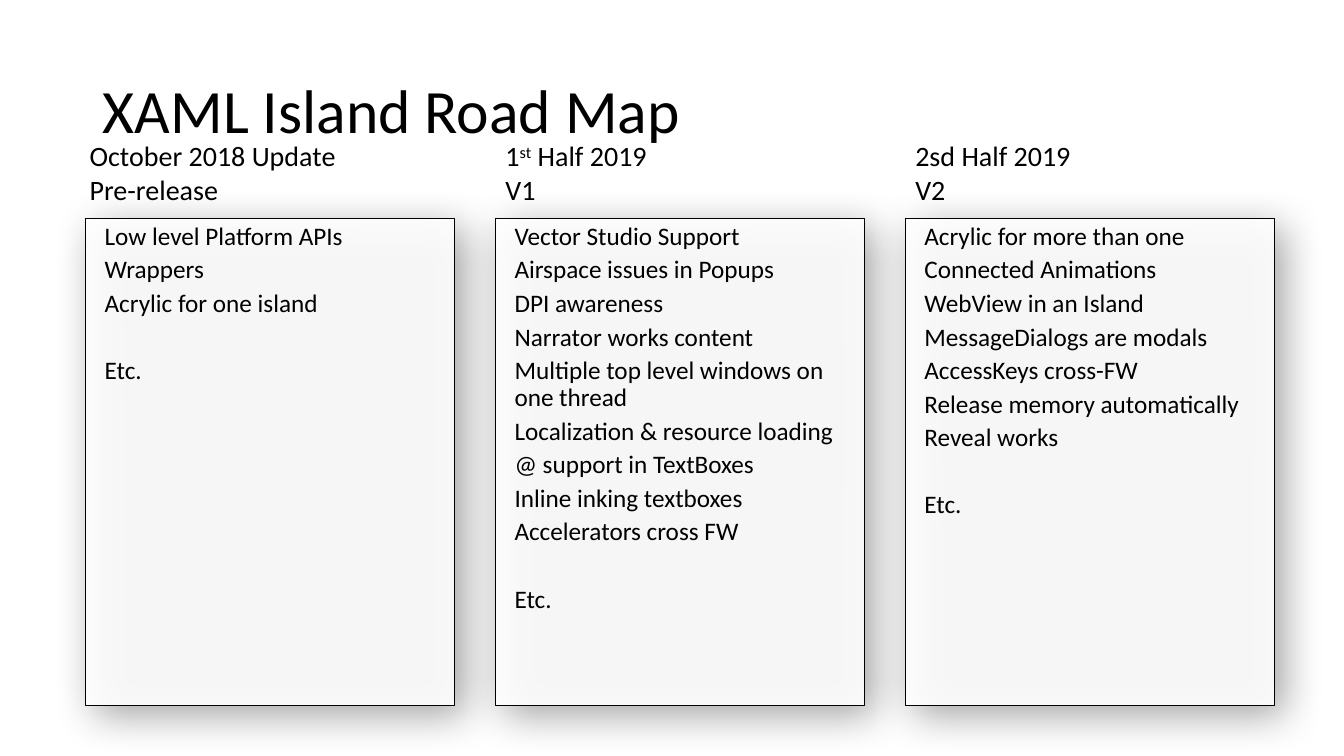
from lxml import etree
from pptx import Presentation
from pptx.dml.color import RGBColor
from pptx.enum.shapes import MSO_SHAPE
from pptx.enum.text import MSO_ANCHOR, MSO_AUTO_SIZE, PP_ALIGN
from pptx.oxml import parse_xml
from pptx.oxml.ns import qn
from pptx.util import Inches, Pt

RECTANGLE = MSO_SHAPE.RECTANGLE
TOP, MIDDLE = MSO_ANCHOR.TOP, MSO_ANCHOR.MIDDLE
LEFT = PP_ALIGN.LEFT
NO_FIT, GROW = MSO_AUTO_SIZE.NONE, MSO_AUTO_SIZE.SHAPE_TO_FIT_TEXT
BLACK = RGBColor(0x00, 0x00, 0x00)
WHITE = RGBColor(0xFF, 0xFF, 0xFF)
FONT = "Calibri"
TITLE_ONLY = 5

# Column grid, in inches
GRID_LEFT, COLUMN_STEP, COLUMN_WIDTH = 0.85, 4.065, 3.66
HEADING_TOP, HEADING_HEIGHT = 1.33, 0.77
CARD_TOP, CARD_HEIGHT = 2.17, 4.83

# Paragraph formats
ITEM = {"alignment": LEFT, "line_spacing": 0.9, "space_after": Pt(4.5)}
LAST_ITEM = {**ITEM, "space_before": Pt(24)}
HEADING = {"alignment": LEFT}
TITLE = {"alignment": LEFT, "line_spacing": 0.9}

SHADOW = """<a:outerShdw
    xmlns:a="http://schemas.openxmlformats.org/drawingml/2006/main"
    blurRad="%d" dist="%d" dir="2700000" algn="tl" rotWithShape="0">
    <a:srgbClr val="000000"><a:alpha val="40000"/></a:srgbClr>
</a:outerShdw>""" % (Pt(30), Pt(9))

# Each heading line is a list of (text, is_superscript) spans
ROAD_MAP = [
    {
        "heading": [[("October 2018 Update", False)], [("Pre-release", False)]],
        "heading_shift": -0.06,
        "heading_width": 4.57,
        "items": ["Low level Platform APIs", "Wrappers",
                  "Acrylic for one island", "Etc."],
    },
    {
        "heading": [[("1", False), ("st", True), (" Half 2019", False)],
                    [("V1", False)]],
        "heading_shift": 0,
        "heading_width": 2.73,
        "items": ["Vector Studio Support", "Airspace issues in Popups",
                  "DPI awareness", "Narrator works content",
                  "Multiple top level windows on one thread",
                  "Localization & resource loading",
                  "@ support in TextBoxes", "Inline inking textboxes",
                  "Accelerators cross FW", "Etc."],
    },
    {
        "heading": [[("2sd Half 2019", False)], [("V2", False)]],
        "heading_shift": 0,
        "heading_width": 2.03,
        "items": ["Acrylic for more than one", "Connected Animations",
                  "WebView in an Island", "MessageDialogs are modals",
                  "AccessKeys cross-FW", "Release memory automatically",
                  "Reveal works", "Etc."],
    },
]


def apply_format(target, values):
    for name, value in values.items():
        setattr(target, name, value)


def next_paragraph(frame, index):
    return frame.add_paragraph() if index else frame.paragraphs[0]


def add_span(para, text, size, superscript=False):
    span = para.add_run()
    span.text = text
    apply_format(span.font, {"name": FONT, "size": Pt(size)})
    span.font.color.rgb = BLACK
    if superscript:
        span._r.get_or_add_rPr().set("baseline", "30000")


def add_title(page, text):
    title = page.shapes.title
    apply_format(title, {"left": Inches(0.92), "top": Inches(0.4),
                         "width": Inches(11.5), "height": Inches(1.45)})
    frame = title.text_frame
    apply_format(frame, {"vertical_anchor": MIDDLE, "word_wrap": True,
                         "auto_size": NO_FIT})
    para = frame.paragraphs[0]
    apply_format(para, TITLE)
    add_span(para, text, 44)


def add_card(page, left, items):
    card = page.shapes.add_shape(RECTANGLE, Inches(left), Inches(CARD_TOP),
                                 Inches(COLUMN_WIDTH), Inches(CARD_HEIGHT))
    card.fill.solid()
    card.fill.fore_color.rgb = WHITE
    card.line.color.rgb = BLACK
    card.line.width = Pt(0.75)

    # Translucent fill and soft shadow
    properties = card._element.spPr
    fill_color = properties.find(qn("a:solidFill")).find(qn("a:srgbClr"))
    etree.SubElement(fill_color, qn("a:alpha")).set("val", "91000")
    card.shadow.inherit = False
    properties.find(qn("a:effectLst")).append(parse_xml(SHADOW))

    # Items, the last one set apart
    frame = card.text_frame
    apply_format(frame, {"vertical_anchor": TOP, "word_wrap": True})
    for index, item in enumerate(items):
        para = next_paragraph(frame, index)
        apply_format(para, LAST_ITEM if index == len(items) - 1 else ITEM)
        indent = para._p.get_or_add_pPr()
        indent.set("marL", str(Inches(0.09)))
        indent.set("indent", "0")
        add_span(para, item, 18)


def add_heading(page, left, width, lines):
    box = page.shapes.add_textbox(Inches(left), Inches(HEADING_TOP),
                                  Inches(width), Inches(HEADING_HEIGHT))
    frame = box.text_frame
    apply_format(frame, {"word_wrap": True, "auto_size": GROW})
    for index, line in enumerate(lines):
        para = next_paragraph(frame, index)
        apply_format(para, HEADING)
        for text, superscript in line:
            add_span(para, text, 20, superscript)


def main():
    deck = Presentation()
    deck.slide_width, deck.slide_height = Inches(13.33), Inches(7.5)
    page = deck.slides.add_slide(deck.slide_layouts[TITLE_ONLY])
    add_title(page, "XAML Island Road Map")
    for column, release in enumerate(ROAD_MAP):
        left = GRID_LEFT + column * COLUMN_STEP
        add_card(page, left, release["items"])
        add_heading(page, left + release["heading_shift"],
                    release["heading_width"], release["heading"])
    deck.save("out.pptx")


if __name__ == "__main__":
    main()
